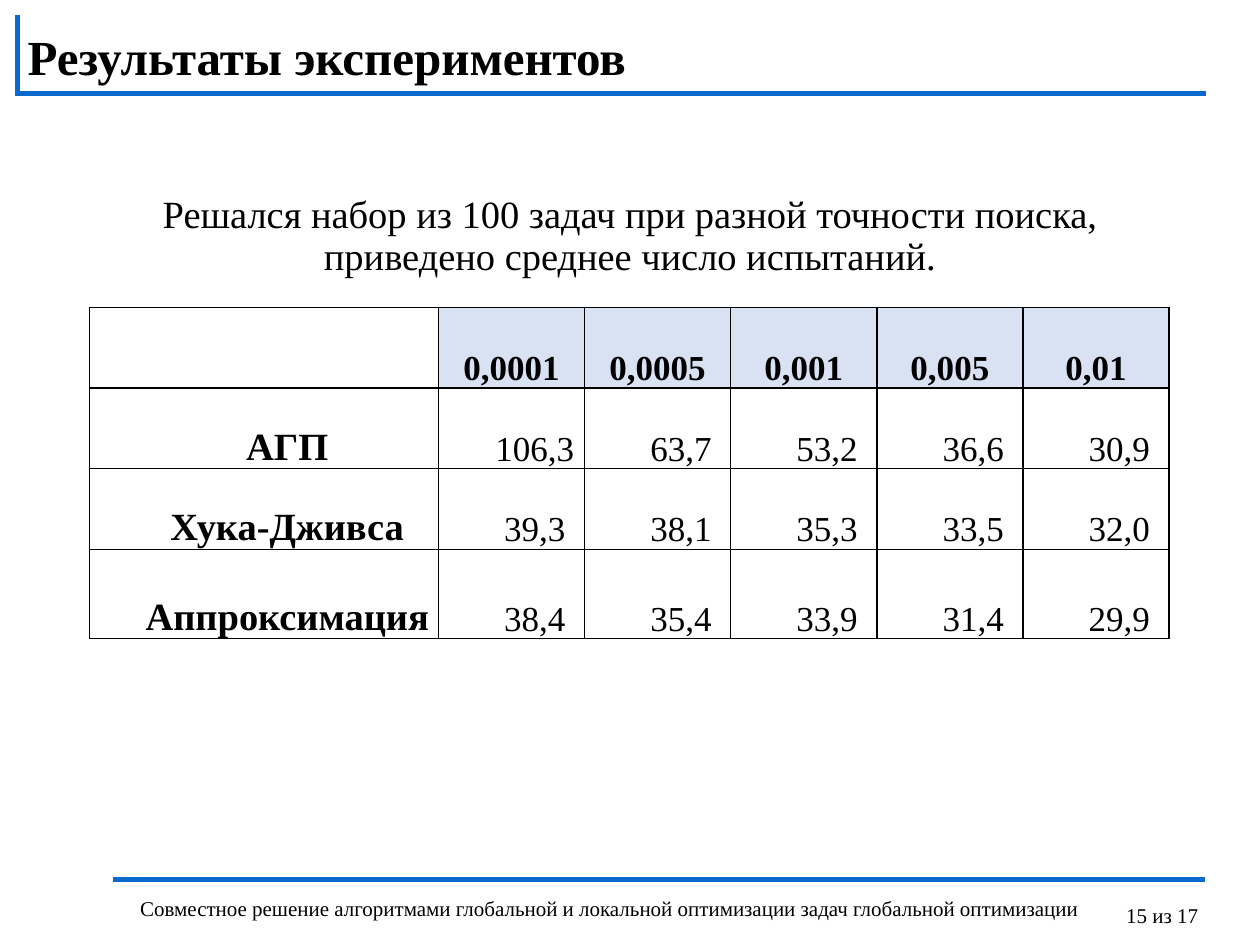
from lxml.etree import SubElement
from pptx import Presentation
from pptx.dml.color import RGBColor
from pptx.enum.shapes import MSO_CONNECTOR
from pptx.enum.text import MSO_ANCHOR, MSO_AUTO_SIZE, PP_ALIGN
from pptx.oxml import parse_xml
from pptx.oxml.ns import nsdecls, qn
from pptx.util import Inches, Pt

BLACK = RGBColor(0x00, 0x00, 0x00)
BLUE = RGBColor(0x09, 0x69, 0xCD)
HEADER_FILL = RGBColor(0xD9, 0xE2, 0xF3)

PRECISIONS = ["", "0,0001", "0,0005", "0,001", "0,005", "0,01"]
TRIALS = [
    ["АГП", "106,3", "63,7", "53,2", "36,6", "30,9"],
    ["Хука-Дживса", "39,3", "38,1", "35,3", "33,5", "32,0"],
    ["Аппроксимация", "38,4", "35,4", "33,9", "31,4", "29,9"],
]
COL_WIDTHS = [2.77] + [1.16] * 5
ROW_HEIGHTS = [0.64] * 3 + [0.71]


class SlideBuilder:
    font = "Times New Roman"

    def __init__(self, slide):
        self.slide = slide

    def paragraph(self, tf, text, size, bold=False, indent=0, **para):
        """Fill the frame with one paragraph; para holds paragraph attributes."""
        p = tf.paragraphs[0]
        for name, value in para.items():
            setattr(p, name, value)
        pPr = p._p.get_or_add_pPr()
        pPr.set("marL", "0")
        pPr.set("indent", str(Inches(indent)))
        SubElement(pPr, qn("a:buNone"))
        r = p.add_run()
        r.text = text
        r.font.color.rgb = BLACK
        for name, value in {"name": self.font, "size": Pt(size), "bold": bold}.items():
            setattr(r.font, name, value)

    def placeholder(self, sp, box, text, size, anchor, **style):
        sp.left, sp.top, sp.width, sp.height = map(Inches, box)
        frame = {"word_wrap": True, "auto_size": MSO_AUTO_SIZE.NONE, "vertical_anchor": anchor}
        for name, value in frame.items():
            setattr(sp.text_frame, name, value)
        self.paragraph(sp.text_frame, text, size, **style)

    def text(self, box, text, size, **style):
        tf = self.slide.shapes.add_textbox(*map(Inches, box)).text_frame
        tf.word_wrap = True
        self.paragraph(tf, text, size, **style)

    def line(self, *ends):
        s = self.slide.shapes.add_connector(MSO_CONNECTOR.STRAIGHT, *map(Inches, ends))
        s.line.color.rgb = BLUE
        s.line.width = Pt(3)
        SubElement(s._element.spPr, qn("a:effectLst"))

    def borders(self, cell):
        tcPr = cell._tc.get_or_add_tcPr()
        for i, side in enumerate("LRTB"):
            tcPr.insert(i, parse_xml(
                f'<a:ln{side} {nsdecls("a")} w="{Pt(1)}"><a:solidFill>'
                f'<a:srgbClr val="{BLACK}"/></a:solidFill></a:ln{side}>'))

    def cell(self, cell, text, header, label):
        layout = {
            "vertical_anchor": MSO_ANCHOR.BOTTOM,
            "margin_left": Inches(0.07), "margin_right": Inches(0.07),
            "margin_top": 0, "margin_bottom": 0,
        }
        for name, value in layout.items():
            setattr(cell, name, value)
        if header and text:
            cell.fill.solid()
            cell.fill.fore_color.rgb = HEADER_FILL
        else:
            cell.fill.background()
        self.borders(cell)
        if text:
            self.paragraph(cell.text_frame, text, 22 if label else 20, bold=header or label,
                           indent=0 if header else 0.37, alignment=PP_ALIGN.CENTER,
                           line_spacing=1.07, space_before=Pt(6))

    def table(self, left, top, rows):
        size = map(Inches, (left, top, sum(COL_WIDTHS), sum(ROW_HEIGHTS)))
        table = self.slide.shapes.add_table(len(rows), len(COL_WIDTHS), *size).table
        table.first_row = table.horz_banding = False
        for col, width in zip(table.columns, COL_WIDTHS):
            col.width = Inches(width)
        for i, values in enumerate(rows):
            table.rows[i].height = Inches(ROW_HEIGHTS[i])
            for j, value in enumerate(values):
                self.cell(table.cell(i, j), value, header=i == 0, label=j == 0)


def main():
    prs = Presentation()
    prs.slide_width, prs.slide_height = Inches(10), Inches(7.5)
    slide = prs.slides.add_slide(prs.slide_layouts[1])
    b = SlideBuilder(slide)

    b.text((8.84, 7.01, 1.16, 0.49), "15 из 17", 12, line_spacing=1.5)
    b.line(0.9, 6.98, 9.56, 6.98)
    b.line(0.12, 0.74, 9.57, 0.74)
    b.line(0.14, 0.12, 0.14, 0.75)
    b.text((0.9, 7.06, 7.88, 0.5),
           "Совместное решение алгоритмами глобальной и локальной оптимизации "
           "задач глобальной оптимизации", 12, alignment=PP_ALIGN.CENTER)

    b.placeholder(slide.placeholders[1], (0.5, 1.5, 9, 5.1),
                  "Решался набор из 100 задач при разной точности поиска, "
                  "приведено среднее число испытаний.", 22, MSO_ANCHOR.TOP,
                  alignment=PP_ALIGN.CENTER, line_spacing=0.9, space_before=Pt(4.4))
    b.placeholder(slide.shapes.title, (0.12, 0.16, 9.17, 0.57),
                  "Результаты экспериментов", 28, MSO_ANCHOR.MIDDLE,
                  bold=True, alignment=PP_ALIGN.LEFT)
    b.table(0.71, 2.44, [PRECISIONS] + TRIALS)

    prs.save("out.pptx")


if __name__ == "__main__":
    main()
